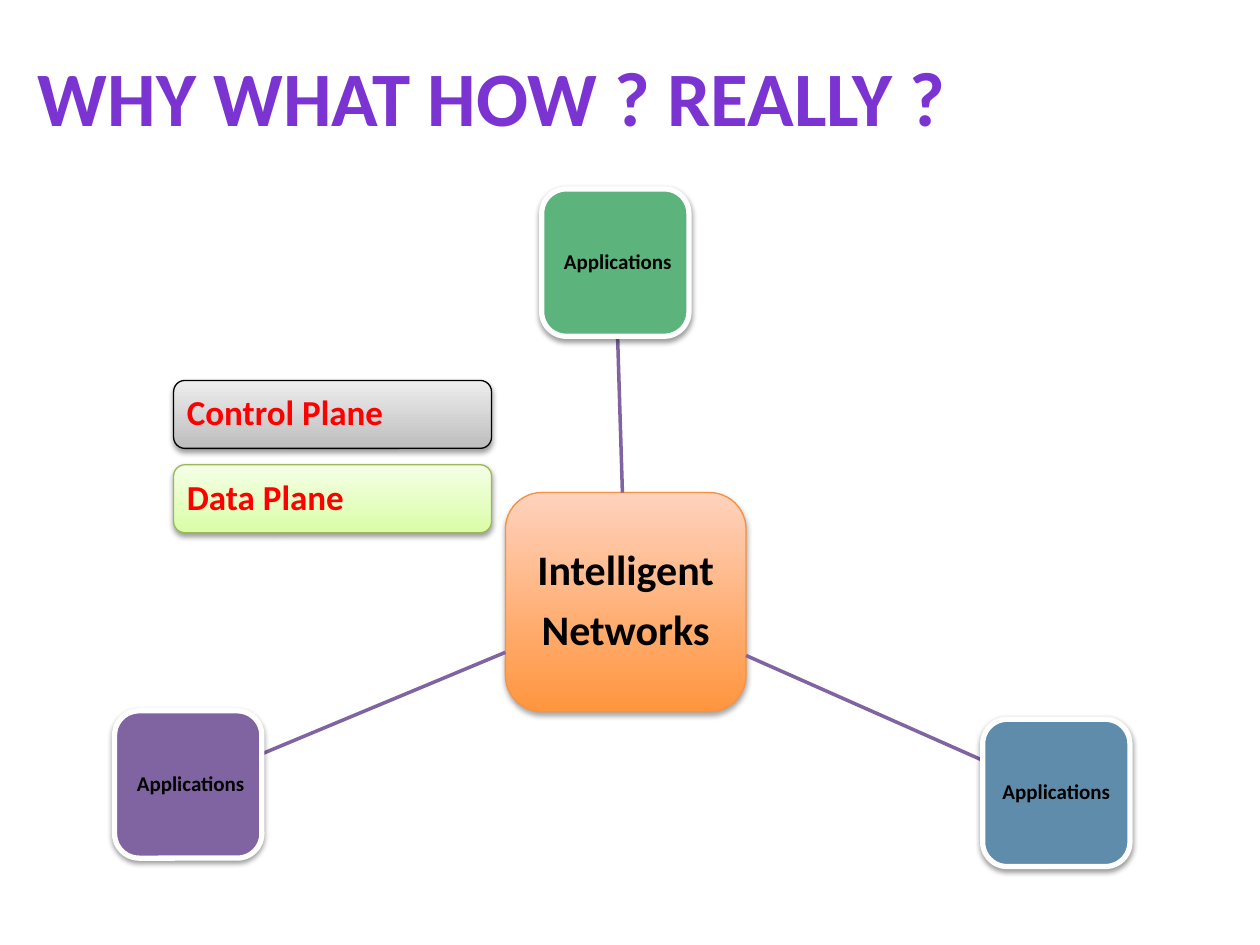
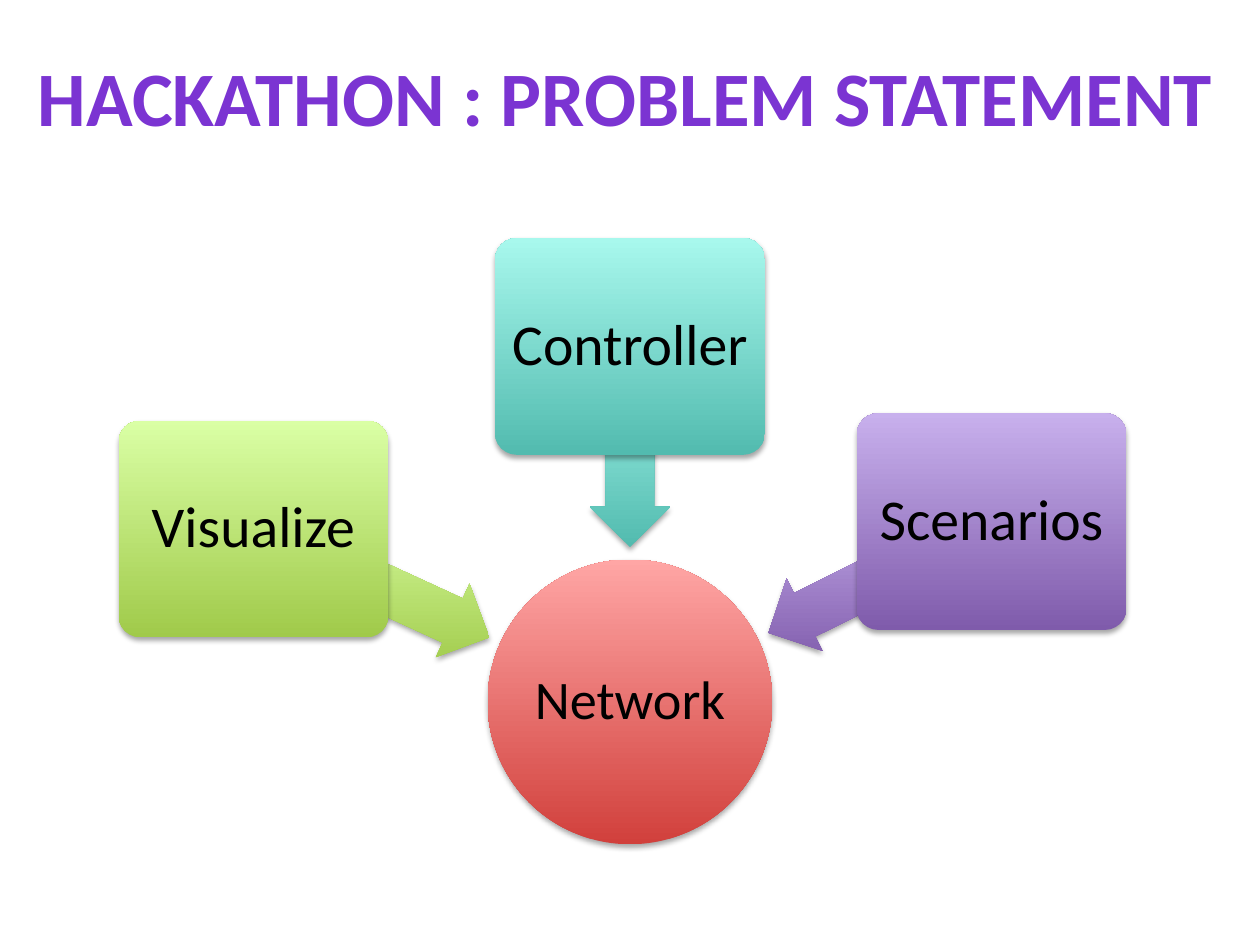
"""Build two slides: an application network and a hackathon problem statement."""
import math
from dataclasses import dataclass

from lxml import etree
from pptx import Presentation
from pptx import util as u
from pptx.dml.color import RGBColor
from pptx.enum import shapes, text
from pptx.oxml import ns


@dataclass(frozen=True)
class Theme:
    """Colours and type sizes used on every slide."""
    font: str = "Calibri"
    title: str = "7B34D2"
    ink: str = "000000"
    alert: str = "FF0000"
    white: str = "FFFFFF"
    link: str = "8064A2"
    green: str = "5CB37C"
    steel: str = "608CAB"
    # Gradients run from the bottom colour to the top colour.
    orange: tuple = ("FF953E", "FFD2BD")
    grey: tuple = ("BDBDBD", "EEEEEE")
    pale_lime: tuple = ("DAFDA7", "F5FFE7")
    red: tuple = ("D1403C", "FFA6A5")
    lime: tuple = ("A0CA4A", "DAFFA5")
    teal: tuple = ("52BBAF", "A8F8ED")
    violet: tuple = ("7F5BAB", "C8B0ED")
    orange_edge: str = "F69240"
    lime_edge: str = "98B955"
    title_size: int = 44
    hub_size: int = 24
    app_size: int = 12
    plane_size: int = 20
    circle_size: int = 31
    node_size: int = 33


@dataclass(frozen=True)
class Box:
    """A rectangle in centimetres."""
    left: float
    top: float
    width: float
    height: float

    @property
    def centre(self):
        """Return the middle point."""
        return self.left + self.width / 2, self.top + self.height / 2

    def inner(self, left, top, width, height):
        """Return a box whose corner is measured from this one."""
        return Box(self.left + left, self.top + top, width, height)

    def edge_towards(self, point):
        """Return where the line from the centre to a point leaves the box."""
        x, y = self.centre
        dx, dy = point[0] - x, point[1] - y
        scale = 1 / max(abs(dx) / (self.width / 2), abs(dy) / (self.height / 2))
        return x + dx * scale, y + dy * scale

    def lengths(self):
        """Return the four lengths for python-pptx."""
        return [u.Cm(n) for n in (self.left, self.top, self.width, self.height)]


THEME = Theme()
ALIGN = text.PP_ALIGN
SHAPE = shapes.MSO_SHAPE


def write(shape, words, size, color=THEME.ink, bold=False, align=ALIGN.CENTER,
          inset=0.15, shift=0.0, line_spacing=0.9, after=0.35):
    """Write one paragraph per line of words, centred vertically."""
    frame = shape.text_frame
    frame.word_wrap = True
    frame.auto_size = text.MSO_AUTO_SIZE.NONE
    frame.vertical_anchor = text.MSO_ANCHOR.MIDDLE
    frame.margin_left = u.Cm(inset + shift)
    frame.margin_right = frame.margin_top = frame.margin_bottom = u.Cm(inset)
    for number, line in enumerate(words.split("\n")):
        para = frame.add_paragraph() if number else frame.paragraphs[0]
        para.alignment = align
        para.line_spacing = line_spacing
        para.space_after = u.Pt(size * after)
        span = para.add_run()
        span.text = line
        span.font.name = THEME.font
        span.font.size = u.Pt(size)
        span.font.bold = bold
        span.font.color.rgb = RGBColor.from_string(color)


def cast_shadow(shape, opacity, distance):
    """Give the shape a soft shadow that falls straight down."""
    shape.shadow.inherit = False
    effects = shape._element.spPr.find(ns.qn("a:effectLst"))
    shadow = etree.SubElement(
        effects, ns.qn("a:outerShdw"), blurRad=str(u.Pt(3.1)),
        dist=str(u.Pt(distance)), dir="5400000", rotWithShape="0")
    tint = etree.SubElement(shadow, ns.qn("a:srgbClr"), val=THEME.ink)
    etree.SubElement(tint, ns.qn("a:alpha"), val=str(opacity * 1000))


def draw(page, kind, box, fill, line=None, weight=0.75, opacity=35,
         distance=1.8, adjust=(), turn=0):
    """Add a shadowed preset shape; a pair of colours makes a gradient."""
    shape = page.shapes.add_shape(kind, *box.lengths())
    shape.rotation = turn
    for index, value in enumerate(adjust):
        shape.adjustments[index] = value
    if isinstance(fill, tuple):
        shape.fill.gradient()
        # The gradient stays upright on the page when the shape is turned.
        shape.fill.gradient_angle = (90 + turn) % 360
        for stop, color in zip(shape.fill.gradient_stops, fill):
            stop.color.rgb = RGBColor.from_string(color)
    else:
        shape.fill.solid()
        shape.fill.fore_color.rgb = RGBColor.from_string(fill)
    if line:
        shape.line.color.rgb = RGBColor.from_string(line)
        shape.line.width = u.Pt(weight)
    else:
        shape.line.fill.background()
    cast_shadow(shape, opacity, distance)
    return shape


def add_link(page, hub, app):
    """Join the facing edges of two boxes with a straight line."""
    ends = hub.edge_towards(app.centre) + app.edge_towards(hub.centre)
    link = page.shapes.add_connector(
        shapes.MSO_CONNECTOR.STRAIGHT, *[u.Cm(n) for n in ends])
    link.line.color.rgb = RGBColor.from_string(THEME.link)
    link.line.width = u.Pt(2)
    etree.SubElement(link._element.spPr, ns.qn("a:effectLst"))


def add_arrow(page, node, hub, fill, thickness=1.63, gap=0.25):
    """Point an arrow from a node's centre to just short of the round hub."""
    (x, y), (hub_x, hub_y) = node.centre, hub.centre
    angle = math.atan2(hub_y - y, hub_x - x)
    length = math.hypot(hub_x - x, hub_y - y) - hub.width / 2 - gap
    middle_x = x + math.cos(angle) * length / 2
    middle_y = y + math.sin(angle) * length / 2
    box = Box(middle_x - length / 2, middle_y - thickness / 2, length, thickness)
    draw(page, SHAPE.LEFT_ARROW, box, fill, adjust=(0.6, 0.5),
         turn=math.degrees(angle) + 180)


def add_page(deck, title):
    """Add a slide with the shared title style."""
    page = deck.slides.add_slide(deck.slide_layouts[5])
    heading = page.shapes.title
    box = Box(0.51, 0.33, 24.89, 3.18)
    heading.left, heading.top, heading.width, heading.height = box.lengths()
    write(heading, title, THEME.title_size, color=THEME.title, bold=True,
          align=ALIGN.LEFT, inset=0.25, line_spacing=1.0, after=0)
    return page


def add_app_network(page, area):
    """Place the network hub and the three applications linked to it."""
    hub = area.inner(7.88, 6.12, 4.85, 4.42)
    shape = draw(page, SHAPE.ROUNDED_RECTANGLE, hub, THEME.orange,
                 line=THEME.orange_edge)
    write(shape, "Intelligent\nNetworks", THEME.hub_size, bold=True)
    side = 2.97
    apps = ((8.61, 0, THEME.green, 0.1), (17.5, 10.69, THEME.steel, 0),
            (0, 10.52, THEME.link, 0.1))
    for left, top, color, shift in apps:
        app = area.inner(left, top, side, side)
        add_link(page, hub, app)
        shape = draw(page, SHAPE.ROUNDED_RECTANGLE, app, color, line=THEME.white,
                     weight=3, opacity=38, distance=1.6)
        write(shape, "Applications", THEME.app_size, bold=True, inset=0.08,
              shift=shift)


def add_planes(page, area):
    """Stack the control and data planes in the area."""
    height = 1.37
    planes = (("Control Plane", THEME.grey, THEME.ink),
              ("Data Plane", THEME.pale_lime, THEME.lime_edge))
    step = (area.height - height) / (len(planes) - 1)
    for row, (name, fill, edge) in enumerate(planes):
        box = area.inner(0, row * step, area.width, height)
        shape = draw(page, SHAPE.ROUNDED_RECTANGLE, box, fill, line=edge,
                     opacity=38, distance=1.6)
        write(shape, name, THEME.plane_size, color=THEME.alert, bold=True,
              align=ALIGN.LEFT, inset=0.2)


def add_problem_diagram(page, area):
    """Place the round network hub and the three topics pointing at it."""
    hub = area.inner(7.44, 6.48, 5.74, 5.74)
    circle = draw(page, SHAPE.OVAL, hub, THEME.red)
    write(circle, "Network", THEME.circle_size, inset=0.05)
    topics = (("Visualize", 0, 3.68, THEME.lime),
              ("Controller", 7.59, 0, THEME.teal),
              ("Scenarios", 14.88, 3.53, THEME.violet))
    for name, left, top, fill in topics:
        node = area.inner(left, top, 5.44, 4.37)
        add_arrow(page, node, hub, fill)
        shape = draw(page, SHAPE.ROUNDED_RECTANGLE, node, fill, adjust=(0.1,))
        write(shape, name, THEME.node_size)


def main():
    """Build and save the deck."""
    deck = Presentation()
    deck.slide_width, deck.slide_height = u.Cm(25.4), u.Cm(19.05)

    page = add_page(deck, "WHY WHAT HOW ? REALLY ?")
    add_app_network(page, Box(2.31, 3.81, 20.47, 13.66))
    add_planes(page, Box(3.5, 7.67, 6.41, 3.07))

    page = add_page(deck, "HACKATHON : PROBLEM STATEMENT")
    add_problem_diagram(page, Box(2.39, 4.8, 20.32, 12.22))

    deck.save("out.pptx")


main()
